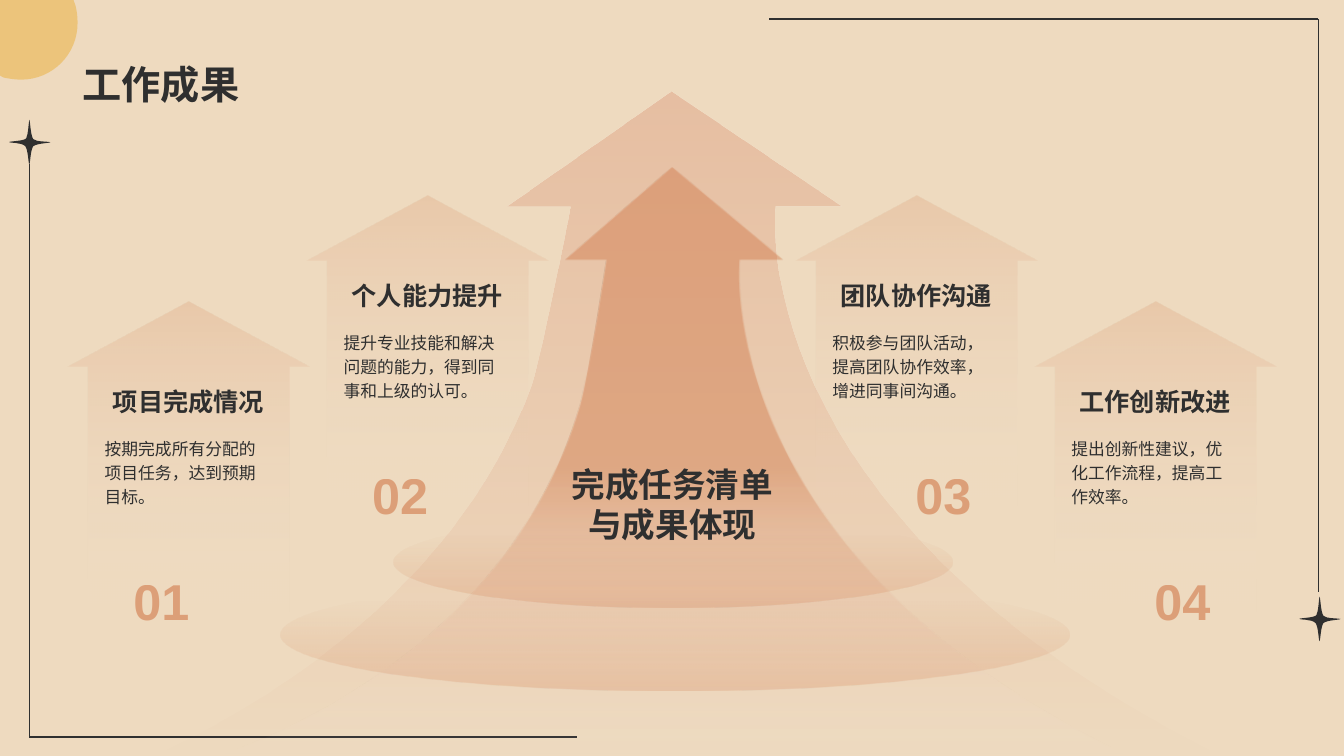
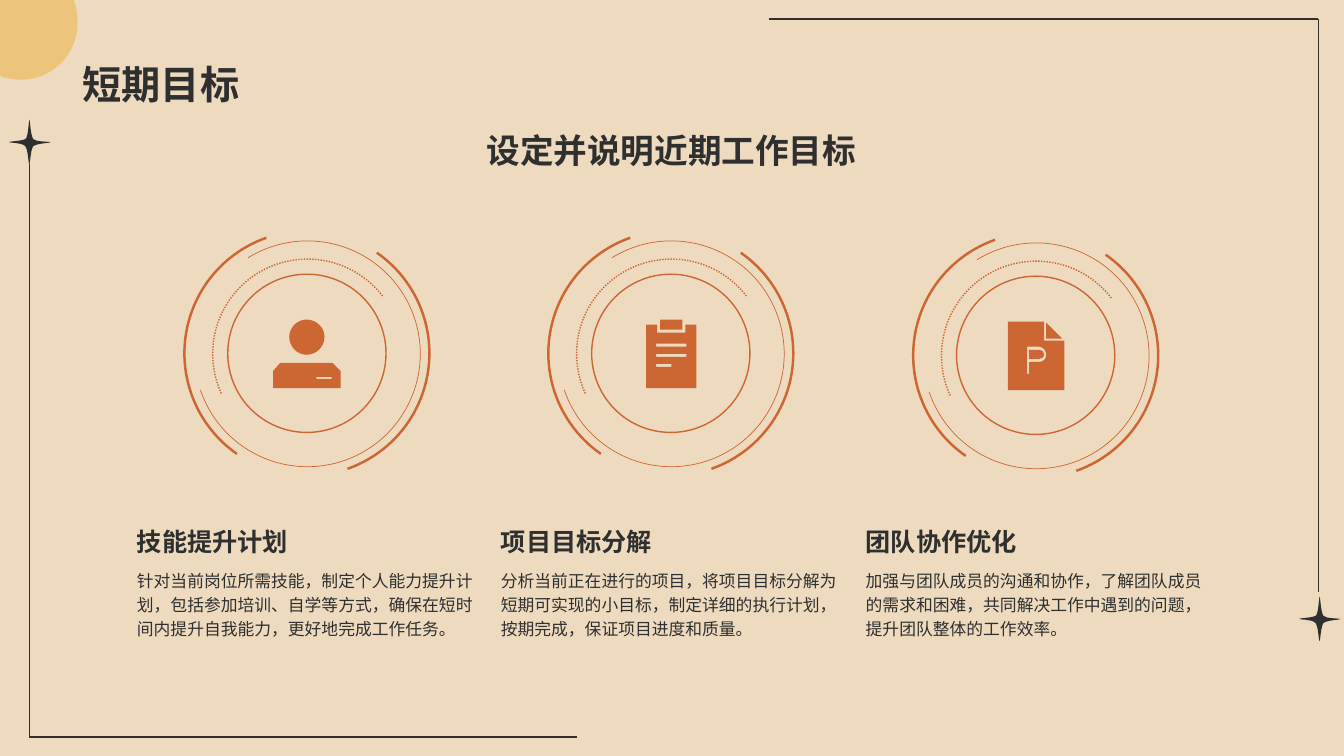
from pptx import Presentation
from pptx.dml.color import RGBColor
from pptx.enum.dml import MSO_LINE
from pptx.enum.lang import MSO_LANGUAGE_ID as LANGUAGE
from pptx.enum.shapes import MSO_CONNECTOR, MSO_SHAPE
from pptx.enum.text import MSO_ANCHOR as ANCHOR, PP_ALIGN as ALIGN
from pptx.oxml.ns import qn
from pptx.util import Emu, Pt
from lxml import etree

PX = 9144
FONT = "Arial"
SAND, INK, RUST = "EEDABF", "2F2F2F", "CC6633"
SUN, PEACH, WHITE = "EBAB2A", "E0A385", "FFFFFF"


def paint(fill, colour, alpha=100, fade=None, positions=(0, 1)):
    stops = [(colour, alpha)]
    if fade:
        stops.append(fade)
        fill.gradient()
        fill.gradient_angle = 270
        for stop, (stop_colour, _), position in zip(fill.gradient_stops, stops, positions):
            stop.color.rgb = RGBColor.from_string(stop_colour)
            stop.position = position
    else:
        fill.solid()
        fill.fore_color.rgb = RGBColor.from_string(colour)
    for element, (_, opacity) in zip(fill._xPr.iter(qn("a:srgbClr")), stops):
        if opacity < 100:
            etree.SubElement(element, qn("a:alpha")).set("val", str(opacity * 1000))


def draw_outline(slide, *contours):
    builder = None
    for start, *segments in contours:
        if builder is None:
            builder = slide.shapes.build_freeform(*start, scale=float(PX))
        else:
            builder.move_to(*start)
        builder.add_line_segments([segment[-2:] for segment in segments], close=True)
    shape = builder.convert_to_shape()
    left, top = shape.left // PX, shape.top // PX
    unit = shape.width // int(next(shape.element.iter(qn("a:path"))).get("w"))
    segments = [segment for contour in contours for segment in contour[1:]]
    for line, segment in zip(list(shape.element.iter(qn("a:lnTo"))), segments):
        if len(segment) == 6:
            curve = etree.Element(qn("a:cubicBezTo"))
            for x, y in zip(segment[::2], segment[1::2]):
                point = etree.SubElement(curve, qn("a:pt"))
                point.set("x", str((x - left) * PX // unit))
                point.set("y", str((y - top) * PX // unit))
            line.getparent().replace(line, curve)
    shape.shadow.inherit = False
    shape.line.fill.background()
    return shape


presentation = Presentation()
presentation.slide_width = Emu(12192000)
presentation.slide_height = Emu(750 * PX)
paint(presentation.slide_master.background.fill, SAND)

layout = presentation.slide_layouts[5]
layout_title, *spare_placeholders = layout.placeholders
for placeholder in spare_placeholders:
    placeholder.element.getparent().remove(placeholder.element)
layout_title.left, layout_title.top = 72 * PX, 14 * PX
layout_title.width, layout_title.height = 1188 * PX, 98 * PX
layout_title.text_frame.vertical_anchor = ANCHOR.BOTTOM

results = presentation.slides.add_slide(layout)
goals = presentation.slides.add_slide(layout)

backdrop = draw_outline(results, [(0, 0), (1333, 0), (1333, 750), (0, 750)])
paint(backdrop.fill, SAND, 50)

for ends in [(29, 731, 29, 163), (29, 731, 572, 731), (1308, 19, 1308, 587), (1308, 19, 763, 19)]:
    frame_line = results.shapes.add_connector(MSO_CONNECTOR.STRAIGHT, *(PX * n for n in ends))
    frame_line.line.width = Pt(1)
    paint(frame_line.line.fill, INK)
    etree.SubElement(frame_line.element.spPr, qn("a:effectLst"))

for shift_x, shift_y in [(1280, 473), (0, 0)]:
    star = draw_outline(results, [
        (50, 141), (50, 140, 38, 141, 34, 137), (31, 133, 31, 120, 30, 119),
        (29, 119, 29, 133, 26, 137), (22, 140, 9, 140, 9, 141),
        (15, 142, 22, 141, 26, 144), (29, 148, 29, 163, 30, 163),
        (31, 157, 31, 149, 33, 145), (34, 142, 50, 142, 50, 141)])
    star.left, star.top = star.left + shift_x * PX, star.top + shift_y * PX
    star.rotation = 180
    paint(star.fill, INK)

sun = draw_outline(results, [
    (0, 0), (73, 0), (76, 7, 77, 15, 77, 23), (77, 54, 52, 79, 21, 79),
    (15, 79, 9, 78, 4, 77), (0, 75)])
paint(sun.fill, SUN, 45)

for shape in list(results.shapes)[1:]:
    layout.shapes.element.append(shape.element)

outer_arrow = draw_outline(results, [
    (666, 91), (835, 205), (769, 205), (769, 205, 731, 503, 1198, 742), (1215, 750),
    (150, 750), (159, 746), (292, 682, 458, 569, 527, 383), (540, 342, 566, 205, 566, 205), (503, 205)])
paint(outer_arrow.fill, PEACH, 50, (PEACH, 0))
inner_arrow = draw_outline(results, [
    (216, 750), (216, 750, 497, 669, 576, 402), (585, 369, 602, 258, 602, 258), (561, 258),
    (667, 166), (777, 258), (734, 258), (734, 258, 704, 551, 1119, 750)])
paint(inner_arrow.fill, RUST, 36, (WHITE, 0), (0.51, 1))

for box in [(391, 513, 554, 90), (278, 574, 783, 111)]:
    base = results.shapes.add_shape(MSO_SHAPE.OVAL, *(PX * n for n in box))
    base.shadow.inherit = False
    base.line.fill.background()
    paint(base.fill, RUST, 0, (RUST, 19), (0.19, 1))

labels = []
cards = [
    (67, 299, 27, "项目完成情况", "按期完成所有分配的项目任务，达到预期目标。"),
    (304, 194, 27, "个人能力提升", "提升专业技能和解决问题的能力，得到同事和上级的认可。"),
    (789, 194, 81, "团队协作沟通", "积极参与团队活动，提高团队协作效率，增进同事间沟通。"),
    (1026, 299, 81, "工作创新改进", "提出创新性建议，优化工作流程，提高工作效率。"),
]
for number, (left, top, number_shift, heading, detail) in enumerate(cards, 1):
    card = results.shapes.add_shape(MSO_SHAPE.UP_ARROW, *(PX * n for n in (left, top, 240, 354)))
    card.adjustments[0], card.adjustments[1] = 0.83, 0.27
    card.shadow.inherit = False
    card.line.fill.background()
    paint(card.fill, RUST, 15, (WHITE, 0), (0, 0.88))
    labels += [
        (results, (left + 27, top + 127, 186, 121), detail, "detail"),
        (results, (left + 27, top + 49, 186, 70), heading, "card heading"),
        (results, (left + number_shift, top + 251, 132, 91), f"{number:02}", "number"),
    ]
labels.append((results, (546, 400, 242, 200), "完成任务清单与成果体现", "centre"))
labels.append((goals, (72, 124, 1188, 50), "设定并说明近期工作目标", "subtitle"))

person = [
    [(304, 352), (314, 352, 322, 344, 322, 334), (322, 325, 314, 317, 304, 317),
     (295, 317, 287, 325, 287, 334), (287, 344, 295, 352, 304, 352)],
    [(330, 360), (278, 360), (271, 368), (271, 385), (338, 385), (338, 368)],
    [(329, 376), (314, 376), (314, 374), (329, 374)],
]
clipboard = [
    [(652, 322), (652, 330), (680, 330), (680, 322), (691, 322), (691, 385), (641, 385), (641, 322)],
    *([(right, y), (651, y), (651, y + 3), (right, y + 3)] for right, y in [(666, 361), (681, 351), (681, 341)]),
    [(677, 317), (677, 327), (655, 327), (655, 317)],
]
document = [
    [(1036, 319), (1036, 338), (1056, 338), (1056, 387), (1000, 387), (1000, 319)],
    [(1031, 344), (1019, 344), (1019, 371), (1021, 371), (1021, 359), (1031, 359),
     (1035, 359, 1038, 356, 1038, 352), (1038, 348, 1035, 344, 1031, 344)],
    [(1031, 347), (1034, 347, 1036, 349, 1036, 352), (1036, 354, 1034, 356, 1031, 356),
     (1021, 356), (1021, 347)],
    [(1054, 336), (1038, 336), (1038, 320)],
]
rings = [
    (MSO_SHAPE.ARC, 243, 90, (128.89, 204.4), 1.75, None),
    (MSO_SHAPE.ARC, 243, 270, (128.89, 204.4), 1.75, None),
    (MSO_SHAPE.OVAL, 157, 270, (), 1, None),
    (MSO_SHAPE.ARC, 188, 270, (147.16, 31.69), 1, MSO_LINE.ROUND_DOT),
    (MSO_SHAPE.ARC, 224, 270, (197, 150.8), 0.5, None),
]
goal_columns = [
    (183, 229, person, "技能提升计划",
     "针对当前岗位所需技能，制定个人能力提升计划，包括参加培训、自学等方式，确保在短时间内提升自我能力，更好地完成工作任务。"),
    (544, 229, clipboard, "项目目标分解",
     "分析当前正在进行的项目，将项目目标分解为短期可实现的小目标，制定详细的执行计划，按期完成，保证项目进度和质量。"),
    (906, 231, document, "团队协作优化",
     "加强与团队成员的沟通和协作，了解团队成员的需求和困难，共同解决工作中遇到的问题，提升团队整体的工作效率。"),
]
for left, top, icon_contours, heading, detail in goal_columns:
    for preset, size, rotation, angles, width, dash in rings:
        inset = (244 - size) // 2
        ring = goals.shapes.add_shape(preset, *(PX * n for n in (left + inset, top + inset, size, size)))
        ring.rotation = rotation
        for index, angle in enumerate(angles):
            ring.adjustments[index] = angle
        ring.shadow.inherit = False
        ring.fill.background()
        ring.line.width = Pt(width)
        paint(ring.line.fill, RUST)
        if dash:
            ring.line.dash_style = dash
    icon = draw_outline(goals, *icon_contours)
    paint(icon.fill, RUST)
    labels += [
        (goals, (left - 57, 483, 358, 74), heading, "goal heading"),
        (goals, (left - 57, 557, 358, 99), detail, "detail"),
    ]

styles = {
    "title": (28, True, INK, 100, ALIGN.LEFT, ANCHOR.BOTTOM, 1),
    "subtitle": (24, True, INK, 100, ALIGN.CENTER, ANCHOR.TOP, 1),
    "centre": (24, True, INK, 100, ALIGN.CENTER, ANCHOR.MIDDLE, 1),
    "card heading": (18, True, INK, 100, ALIGN.CENTER, ANCHOR.BOTTOM, 1),
    "goal heading": (18, True, INK, 100, ALIGN.LEFT, ANCHOR.BOTTOM, 1),
    "detail": (12, False, INK, 100, ALIGN.LEFT, ANCHOR.TOP, 1.2),
    "number": (36, True, RUST, 50, ALIGN.CENTER, ANCHOR.MIDDLE, 1),
}
labels += [(results, None, "工作成果", "title"), (goals, None, "短期目标", "title")]
for slide, box, text, style in labels:
    size, bold, colour, alpha, alignment, anchor, spacing = styles[style]
    shape = slide.shapes.add_textbox(*(PX * n for n in box)) if box else slide.shapes.title
    text_frame = shape.text_frame
    text_frame.word_wrap = True
    text_frame.vertical_anchor = anchor
    text_frame.text = text
    paragraph = text_frame.paragraphs[0]
    paragraph.alignment = alignment
    paragraph.line_spacing = spacing
    font = paragraph.runs[0].font
    font.name, font.size, font.bold = FONT, Pt(size), bold
    font.language_id = LANGUAGE.SIMPLIFIED_CHINESE
    paint(font.fill, colour, alpha)

presentation.save("out.pptx")
